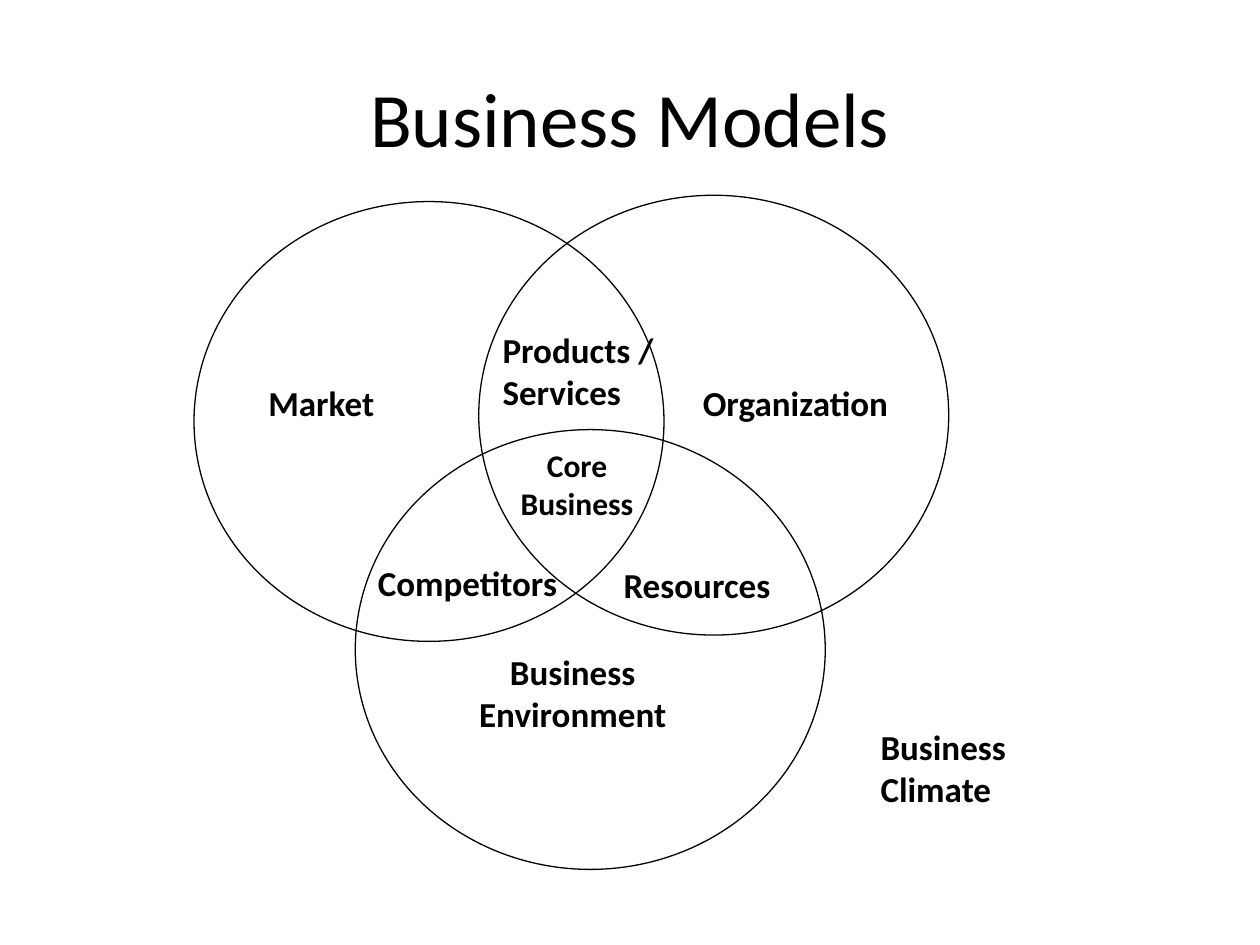
import pptx
import pptx.dml.color
import pptx.enum.shapes
import pptx.enum.text
import pptx.util

Inches = pptx.util.Inches
Pt = pptx.util.Pt
ALIGN = pptx.enum.text.PP_ALIGN

COLORS = {"text": "000000", "outline": "000000"}
FONT = "Calibri"
CIRCLE_WIDTH, CIRCLE_HEIGHT = 3.73, 3.49

# Left and top of each circle
CIRCLES = {
    "market": (1.54, 1.6),
    "environment": (2.82, 3.41),
    "organization": (3.8, 1.55),
}

# Text, left, top, width, height, size, alignment
LABELS = [
    ("Products / Services", 3.89, 2.56, 1.45, 0.78, 20, ALIGN.LEFT),
    ("Core Business", 3.81, 3.49, 1.54, 0.71, 18, ALIGN.CENTER),
    ("Market", 1.75, 2.98, 1.6, 0.44, 20, ALIGN.CENTER),
    ("Competitors", 2.9, 4.41, 1.63, 0.67, 20, ALIGN.LEFT),
    ("Resources", 4.85, 4.42, 1.85, 0.38, 20, ALIGN.LEFT),
    ("Business Environment", 3.4, 5.11, 2.29, 0.78, 20, ALIGN.CENTER),
    ("Organization", 5.48, 2.98, 2.36, 0.44, 20, ALIGN.LEFT),
    ("Business Climate", 6.89, 5.71, 1.74, 0.78, 20, ALIGN.LEFT),
]


def color(name):
    return pptx.dml.color.RGBColor.from_string(COLORS[name])


def format_paragraph(paragraph, size, alignment, bold=False):
    paragraph.alignment = alignment
    paragraph.font.name = FONT
    paragraph.font.size = Pt(size)
    paragraph.font.bold = bold
    paragraph.font.color.rgb = color("text")


def set_title(slide, text):
    title = slide.shapes.title
    title.left, title.top = Inches(0.5), Inches(0.3)
    title.width, title.height = Inches(9), Inches(1.25)
    title.text_frame.text = text
    title.text_frame.vertical_anchor = pptx.enum.text.MSO_ANCHOR.MIDDLE
    format_paragraph(title.text_frame.paragraphs[0], 44, ALIGN.CENTER)


def add_circle(slide, left, top):
    circle = slide.shapes.add_shape(
        pptx.enum.shapes.MSO_SHAPE.OVAL, Inches(left), Inches(top),
        Inches(CIRCLE_WIDTH), Inches(CIRCLE_HEIGHT))
    circle.shadow.inherit = False
    circle.fill.background()
    circle.line.color.rgb = color("outline")
    circle.line.width = Pt(0.75)


def add_label(slide, text, left, top, width, height, size, alignment):
    label = slide.shapes.add_textbox(
        Inches(left), Inches(top), Inches(width), Inches(height))
    frame = label.text_frame
    frame.word_wrap = True
    frame.auto_size = pptx.enum.text.MSO_AUTO_SIZE.SHAPE_TO_FIT_TEXT
    frame.text = text
    format_paragraph(frame.paragraphs[0], size, alignment, bold=True)


def main():
    presentation = pptx.Presentation()
    presentation.slide_width = Inches(10)
    presentation.slide_height = Inches(7.5)
    # Title Only layout
    slide = presentation.slides.add_slide(presentation.slide_layouts[5])
    set_title(slide, "Business Models")

    # Overlapping circles
    for left, top in CIRCLES.values():
        add_circle(slide, left, top)

    # Labels of the regions
    for label in LABELS:
        add_label(slide, *label)

    presentation.save("out.pptx")


if __name__ == "__main__":
    main()
